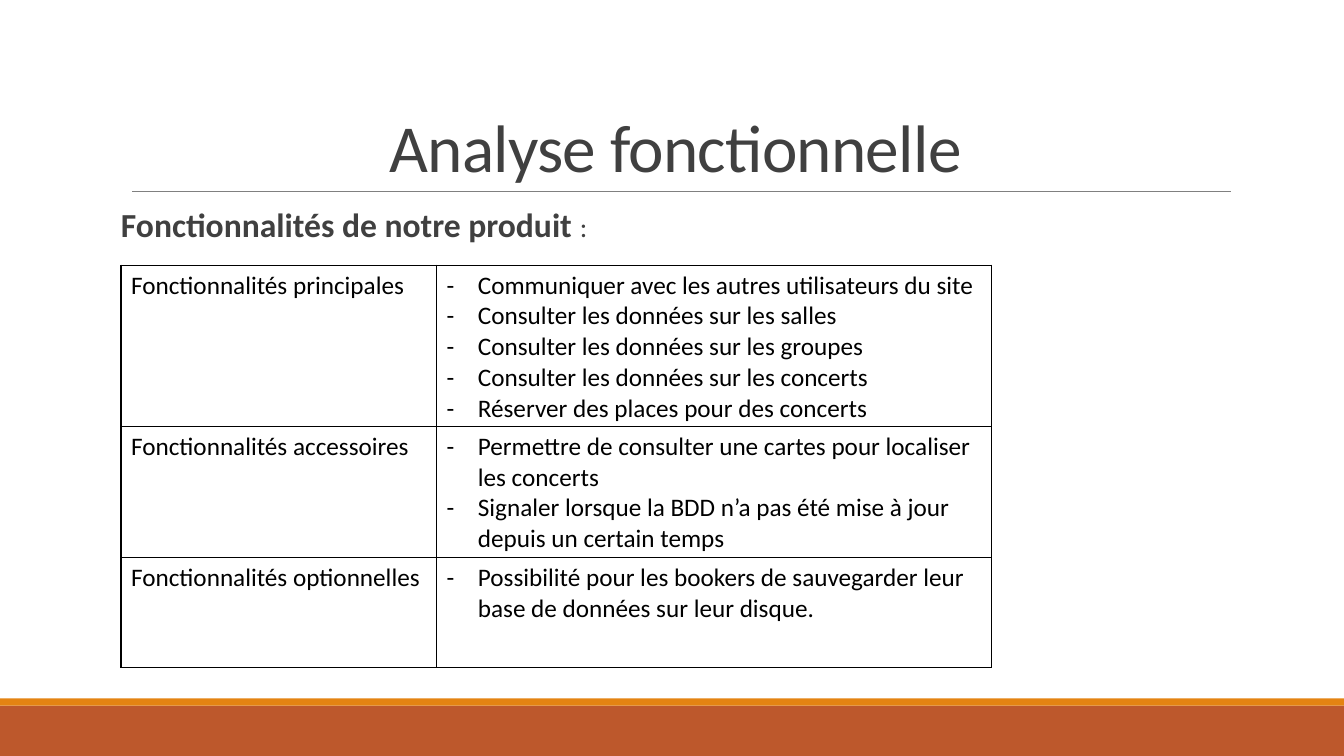
from pptx import Presentation
from pptx import util as u
from pptx.dml.color import RGBColor
from pptx.enum import shapes, text
from pptx.oxml import parse_xml
from pptx.oxml.ns import nsdecls, qn

GREY = "404040"
BLACK = "000000"
ROWS = [
    (1.48, "Fonctionnalités principales", [
        "Communiquer avec les autres utilisateurs du site",
        "Consulter les données sur les salles",
        "Consulter les données sur les groupes",
        "Consulter les données sur les concerts",
        "Réserver des places pour des concerts"]),
    (1.21, "Fonctionnalités accessoires", [
        "Permettre de consulter une cartes pour localiser les concerts",
        "Signaler lorsque la BDD n’a pas été mise à jour depuis un certain temps"]),
    (1.09, "Fonctionnalités optionnelles", [
        "Possibilité pour les bookers de sauvegarder leur base de données "
        "sur leur disque."]),
]


def color(code):
    return RGBColor.from_string(code)


def box(*sides):
    return [u.Inches(side) for side in sides]


def setup(item, **values):
    for name, value in values.items():
        setattr(item, name, value)


def write(para, words, size, code, bold=False):
    run = para.add_run()
    run.text = words
    setup(run.font, name="Calibri", size=u.Pt(size), bold=bold)
    run.font.color.rgb = color(code)
    return run


def band(slide, top, height, code):
    shape = slide.shapes.add_shape(
        shapes.MSO_SHAPE.RECTANGLE, *box(0, top, 13.33, height))
    shape.shadow.inherit = False
    shape.fill.solid()
    shape.fill.fore_color.rgb = color(code)
    shape.line.fill.background()


def rule(slide):
    line = slide.shapes.add_connector(
        shapes.MSO_CONNECTOR.STRAIGHT, *box(1.31, 1.9, 12.21, 1.9))
    line.line.color.rgb = color("808080")
    line.line.width = u.Pt(0.5)
    line._element.spPr.append(parse_xml(f"<a:effectLst {nsdecls('a')}/>"))


def title(slide):
    shape = slide.shapes.title
    left, top, width, height = box(1.2, 0.31, 11, 1.59)
    setup(shape, left=left, top=top, width=width, height=height)
    frame = shape.text_frame
    setup(frame, auto_size=text.MSO_AUTO_SIZE.NONE, word_wrap=True,
          vertical_anchor=text.MSO_ANCHOR.BOTTOM)
    para = frame.paragraphs[0]
    setup(para, alignment=text.PP_ALIGN.CENTER, line_spacing=0.85)
    run = write(para, "Analyse fonctionnelle", 48, GREY)
    run.font._element.set("spc", "-50")


def lead(slide):
    frame = slide.shapes.add_textbox(*box(1.2, 2.02, 11, 4.4)).text_frame
    setup(frame, word_wrap=True, margin_left=0, margin_right=0)
    para = frame.paragraphs[0]
    setup(para, line_spacing=0.9, space_before=u.Pt(12), space_after=u.Pt(2))
    write(para, "Fonctionnalités de notre produit ", 24, GREY, True)
    write(para, ":", 20, GREY)


def dash(para):
    props = para._p.get_or_add_pPr()
    indent = u.Inches(0.31)
    props.set("marL", str(indent))
    props.set("indent", str(-indent))
    props.append(parse_xml(f'<a:buFont {nsdecls("a")} typeface="Calibri"/>'))
    props.append(parse_xml(f'<a:buChar {nsdecls("a")} char="-"/>'))


def border(cell):
    props = cell._tc.get_or_add_tcPr()
    for side in "LRTB":
        props.append(parse_xml(
            f'<a:ln{side} {nsdecls("a")} w="{u.Pt(1)}"><a:solidFill>'
            f'<a:srgbClr val="{BLACK}"/></a:solidFill></a:ln{side}>'))


def fill(cell, lines, marked=False):
    border(cell)
    cell.fill.background()
    frame = cell.text_frame
    for index, words in enumerate(lines):
        para = frame.add_paragraph() if index else frame.paragraphs[0]
        if marked:
            dash(para)
        write(para, words, 18, BLACK)


def grid(slide):
    table = slide.shapes.add_table(
        len(ROWS), 2, *box(1.2, 2.63, 8.63, 3.78)).table
    setup(table, first_row=False, horz_banding=False)
    for column, width in zip(table.columns, box(3.13, 5.5)):
        column.width = width
    for index, (height, name, items) in enumerate(ROWS):
        table.rows[index].height = u.Inches(height)
        fill(table.cell(index, 0), [name])
        fill(table.cell(index, 1), items, True)


def main():
    deck = Presentation()
    setup(deck, slide_width=u.Inches(13.33), slide_height=u.Inches(7.5))
    slide = deck.slides.add_slide(deck.slide_layouts[5])
    # Footer bands and title rule
    band(slide, 7, 0.5, "BD582C")
    band(slide, 6.93, 0.07, "E48312")
    rule(slide)
    # Headings
    title(slide)
    lead(slide)
    # Feature table
    grid(slide)
    deck.save("out.pptx")


if __name__ == "__main__":
    main()
